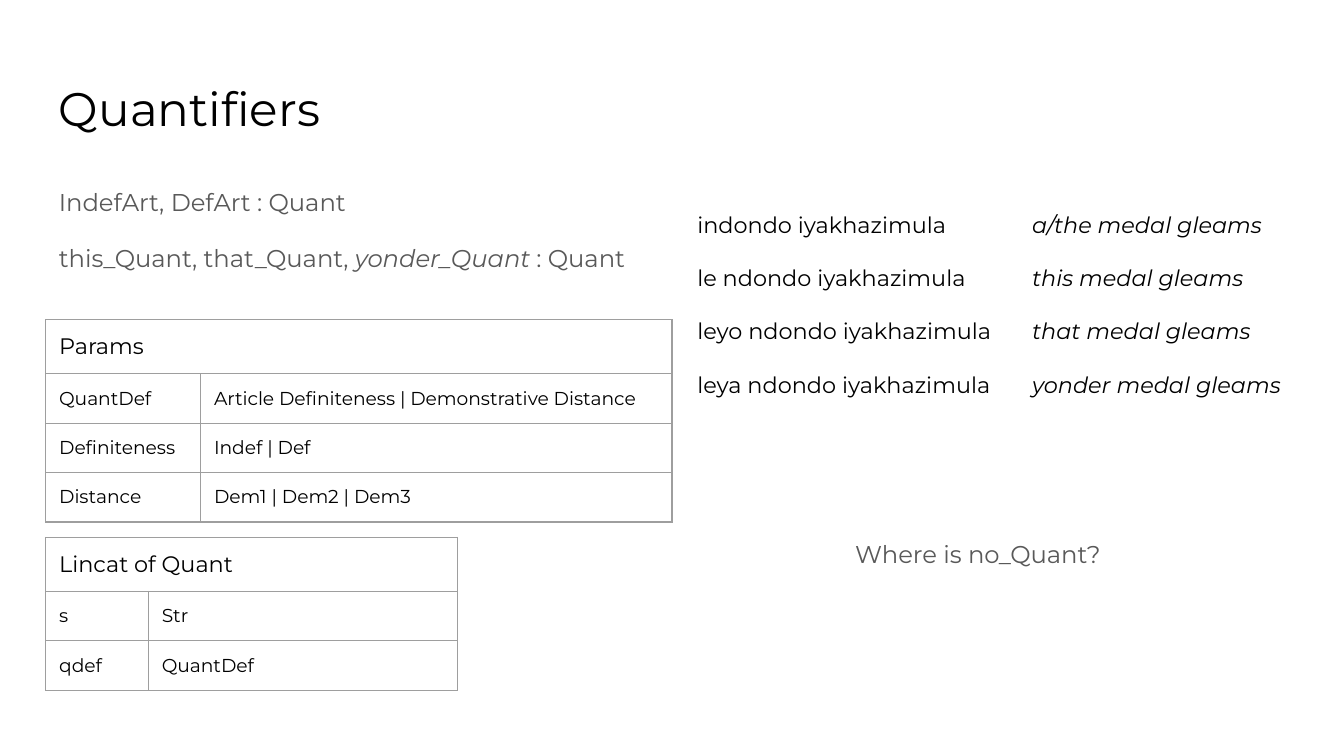
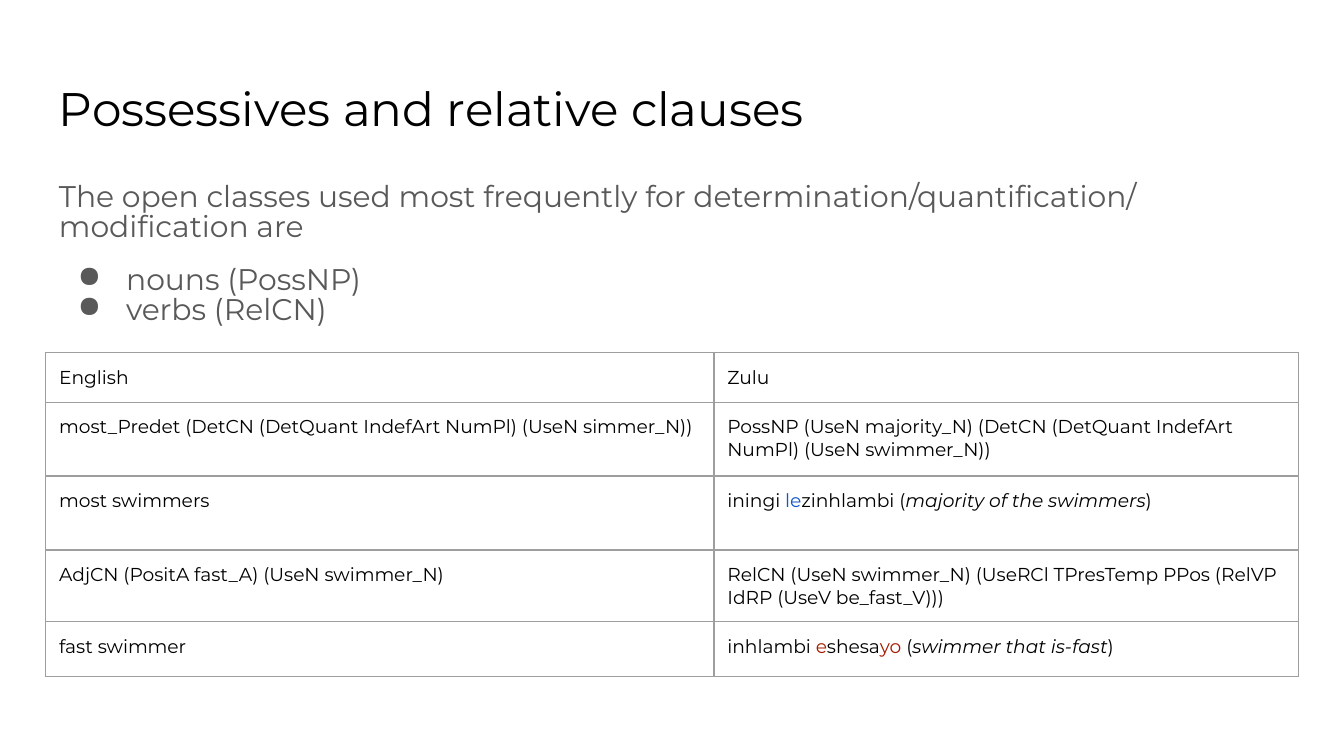
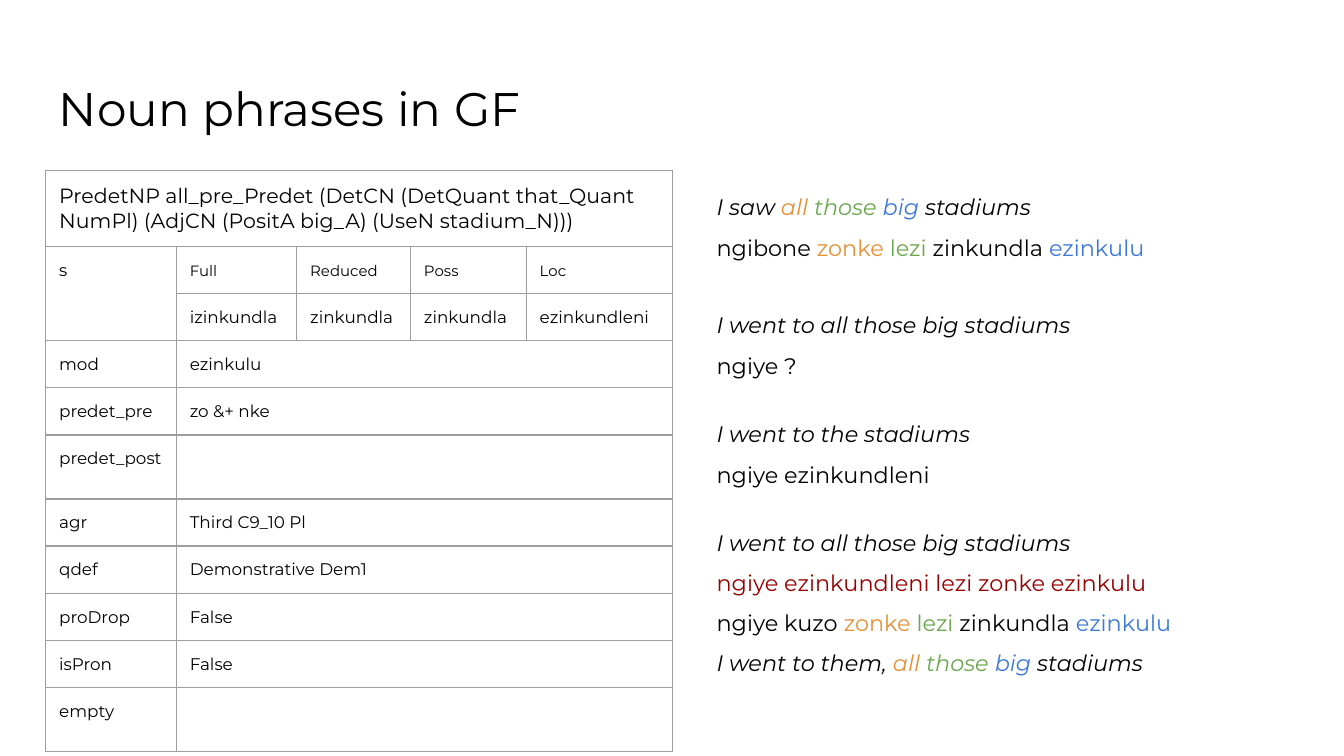
from dataclasses import dataclass

import pptx
import pptx.dml.color
import pptx.enum.text
import pptx.oxml.ns
import pptx.util
from lxml import etree

Pt = pptx.util.Pt
qn = pptx.oxml.ns.qn


@dataclass(frozen=True)
class Theme:
    font: str = "Montserrat"
    ink: str = "000000"
    grey: str = "595959"
    rule: str = "9E9E9E"
    link: str = "1155CC"
    rust: str = "A61C00"
    wrong: str = "980000"
    amber: str = "E69138"
    green: str = "6AA84F"
    blue: str = "3C78D8"
    title: float = 25.2
    lead: float = 16
    body: float = 13
    text: float = 12
    label: float = 11
    cell: float = 10
    small: float = 9
    tiny: float = 8


THEME = Theme()
LEFT, WIDTH, INSET = 24.5, 671, 7.2
BODY = 90.7


def part(text, **style):
    """A run whose style differs from its paragraph."""
    return text, style


def slant(text, **style):
    return part(text, italic=True, **style)


def add_bullet(para, color):
    props = para._p.get_or_add_pPr()
    props.set("marL", str(Pt(36)))
    props.set("indent", str(-Pt(26)))
    tint = etree.SubElement(props, qn("a:buClr"))
    etree.SubElement(tint, qn("a:srgbClr"), val=color)
    etree.SubElement(props, qn("a:buChar"), char="●")


def write(frame, parts, size=THEME.text, color=THEME.ink, italic=False,
          line=None, before=0, after=0, bullet=False):
    """Add one paragraph, given as a string or a list of strings and parts."""
    para = frame.add_paragraph() if frame.text else frame.paragraphs[0]
    para.space_before, para.space_after = Pt(before), Pt(after)
    if line:
        para.line_spacing = line
    if bullet:
        add_bullet(para, color)
    if not parts:
        etree.SubElement(para._p, qn("a:endParaRPr"), sz=str(int(size * 100)))
        return
    for item in [parts] if isinstance(parts, (str, tuple)) else parts:
        words, style = part(item) if isinstance(item, str) else item
        look = {"size": size, "color": color, "italic": italic, **style}
        run = para.add_run()
        run.text = words
        run.font.name = THEME.font
        run.font.size = Pt(look["size"])
        run.font.italic = look["italic"]
        run.font.color.rgb = pptx.dml.color.RGBColor.from_string(look["color"])


def add_box(slide, left, top, width, height, paras, gap=0, after=0, **style):
    """Add a text box; gap parts its paragraphs, after follows the last."""
    frame = slide.shapes.add_textbox(
        Pt(left), Pt(top), Pt(width), Pt(height)).text_frame
    frame.word_wrap = True
    frame.margin_left = frame.margin_right = Pt(INSET)
    frame.margin_top = frame.margin_bottom = Pt(INSET)
    for i, parts in enumerate(paras):
        write(frame, parts, before=gap if i else 0,
              after=after if i == len(paras) - 1 else 0, **style)
    return frame


def add_page(deck, title):
    slide = deck.slides.add_slide(deck.slide_layouts[6])
    add_box(slide, LEFT, 35.3, WIDTH, 45.4, [title], size=THEME.title)
    return slide


def style_cell(cell):
    props = cell._tc.get_or_add_tcPr()
    for side in ("lnL", "lnR", "lnT", "lnB"):
        edge = etree.SubElement(props, qn("a:" + side), w=str(Pt(0.75)))
        fill = etree.SubElement(edge, qn("a:solidFill"))
        etree.SubElement(fill, qn("a:srgbClr"), val=THEME.rule)
    cell.fill.background()
    cell.margin_left = cell.margin_right = Pt(INSET)
    cell.margin_top = cell.margin_bottom = Pt(INSET)


def add_grid(slide, top, cols, highs, rows, size=THEME.cell):
    """Add a table; the last cell of a short row fills it, None joins upward."""
    grid = slide.shapes.add_table(
        len(rows), len(cols), Pt(LEFT), Pt(top),
        Pt(sum(cols)), Pt(sum(highs))).table
    grid.first_row = grid.horz_banding = False
    for col, width in zip(grid.columns, cols):
        col.width = Pt(width)
    for row, high in zip(grid.rows, highs):
        row.height = Pt(high)
    for cell in grid.iter_cells():
        style_cell(cell)
    for r, row in enumerate(rows):
        if len(row) < len(cols):
            grid.cell(r, len(row) - 1).merge(grid.cell(r, len(cols) - 1))
        for c, parts in enumerate(row):
            if parts is None:
                grid.cell(r - 1, c).merge(grid.cell(r, c))
            else:
                write(grid.cell(r, c).text_frame, parts, size=size)
    return grid


def add_quants(deck):
    slide = add_page(deck, "Quantifiers")
    add_grid(slide, 288, [55, 165.5], [20] * 3, [
        [part("Lincat of Quant", size=THEME.text)],
        ["s", "Str"],
        ["qdef", "QuantDef"],
    ])
    add_grid(slide, 171.3, [83, 252.5], [29, 20, 20, 20], [
        [part("Params", size=THEME.text)],
        ["QuantDef", "Article Definiteness | Demonstrative Distance"],
        ["Definiteness", "Indef | Def"],
        ["Distance", "Dem1 | Dem2 | Dem3"],
    ])
    flow = {"line": 1.15, "gap": 12, "after": 12}
    add_box(slide, 366.5, 103.7, 179.3, 123, [
        "indondo iyakhazimula", "le ndondo iyakhazimula",
        "leyo ndondo iyakhazimula", "leya ndondo iyakhazimula"], **flow)
    add_box(slide, 545.8, 103.7, 149.8, 123, [
        "a/the medal gleams", "this medal gleams",
        "that medal gleams", "yonder medal gleams"], italic=True, **flow)
    flow.update(size=THEME.body, color=THEME.grey)
    add_box(slide, LEFT, BODY, 335.5, 70.5, [
        "IndefArt, DefArt : Quant",
        ["this_Quant, that_Quant, ", slant("yonder_Quant"), " : Quant"]],
        **flow)
    add_box(slide, 451, 279.4, 149.8, 37.4, ["Where is no_Quant?"], **flow)


def add_clauses(deck):
    slide = add_page(deck, "Possessives and relative clauses")
    look = {"size": THEME.lead, "color": THEME.grey, "line": 0.85}
    frame = add_box(slide, LEFT, BODY, WIDTH, 98.6, [
        "The open classes used most frequently for "
        "determination/quantification/ modification are"], **look)
    write(frame, "nouns (PossNP)", before=12, bullet=True, **look)
    write(frame, "verbs (RelCN)", bullet=True, **look)
    add_grid(slide, 189, [358, 313], [20, 39.6, 39.6, 29.5, 29.5], [
        ["English", "Zulu"],
        ["most_Predet (DetCN (DetQuant IndefArt NumPl) (UseN simmer_N))",
         "PossNP (UseN majority_N) (DetCN (DetQuant IndefArt NumPl) "
         "(UseN swimmer_N))"],
        ["most swimmers",
         ["iningi ", part("le", color=THEME.link), "zinhlambi (",
          slant("majority of the swimmers"), ")"]],
        ["AdjCN (PositA fast_A) (UseN swimmer_N)",
         "RelCN (UseN swimmer_N) (UseRCl TPresTemp PPos (RelVP IdRP "
         "(UseV be_fast_V)))"],
        ["fast swimmer",
         ["inhlambi ", part("e", color=THEME.rust), "shesa",
          part("yo", color=THEME.rust), " (",
          slant("swimmer that is-fast"), ")"]],
    ])


def add_phrases(deck):
    slide = add_page(deck, "Noun phrases in GF")
    forms = [part(name, size=THEME.tiny)
             for name in ("Full", "Reduced", "Poss", "Loc")]
    row, tall = 25.2, 34.3
    grid = add_grid(
        slide, 91.2, [70, 64.5, 61, 62, 78.5],
        [27.4] + [row] * 4 + [tall] + [row] * 4 + [tall], [
            [part("PredetNP all_pre_Predet (DetCN (DetQuant that_Quant NumPl) "
                  "(AdjCN (PositA big_A) (UseN stadium_N)))",
                  size=THEME.label)],
            ["s", *forms],
            [None, "izinkundla", "zinkundla", "zinkundla", "ezinkundleni"],
            ["mod", "ezinkulu"],
            ["predet_pre", "zo &+ nke"],
            ["predet_post", ""],
            ["agr", "Third C9_10 Pl"],
            ["qdef", "Demonstrative Dem1"],
            ["proDrop", "False"],
            ["isPron", "False"],
            ["empty", ""],
        ], size=THEME.small)
    for c in range(1, 5):
        grid.cell(1, c).vertical_anchor = pptx.enum.text.MSO_ANCHOR.BOTTOM

    def gloss(start):
        return [slant(start), slant("all ", color=THEME.amber),
                slant("those ", color=THEME.green),
                slant("big", color=THEME.blue), slant(" stadiums")]

    def zulu(start):
        return [start, part("zonke ", color=THEME.amber),
                part("lezi", color=THEME.green), " zinkundla ",
                part("ezinkulu", color=THEME.blue)]

    went = slant("I went to all those big stadiums")
    pairs = [
        (89.3, 51, [gloss("I saw "), zulu("ngibone ")]),
        (152.4, 51, [went, "ngiye ?"]),
        (210.8, 51, [slant("I went to the stadiums"), "ngiye ezinkundleni"]),
        (268.8, 94.3, [
            went,
            part("ngiye ezinkundleni lezi zonke ezinkulu", color=THEME.wrong),
            zulu("ngiye kuzo "), gloss("I went to them, ")]),
    ]
    for top, height, paras in pairs:
        add_box(slide, 376.8, top, 314.6, height, paras, line=1.5)


def main():
    deck = pptx.Presentation()
    deck.slide_width, deck.slide_height = Pt(720), Pt(405)
    add_quants(deck)
    add_clauses(deck)
    add_phrases(deck)
    deck.save("out.pptx")


if __name__ == "__main__":
    main()
